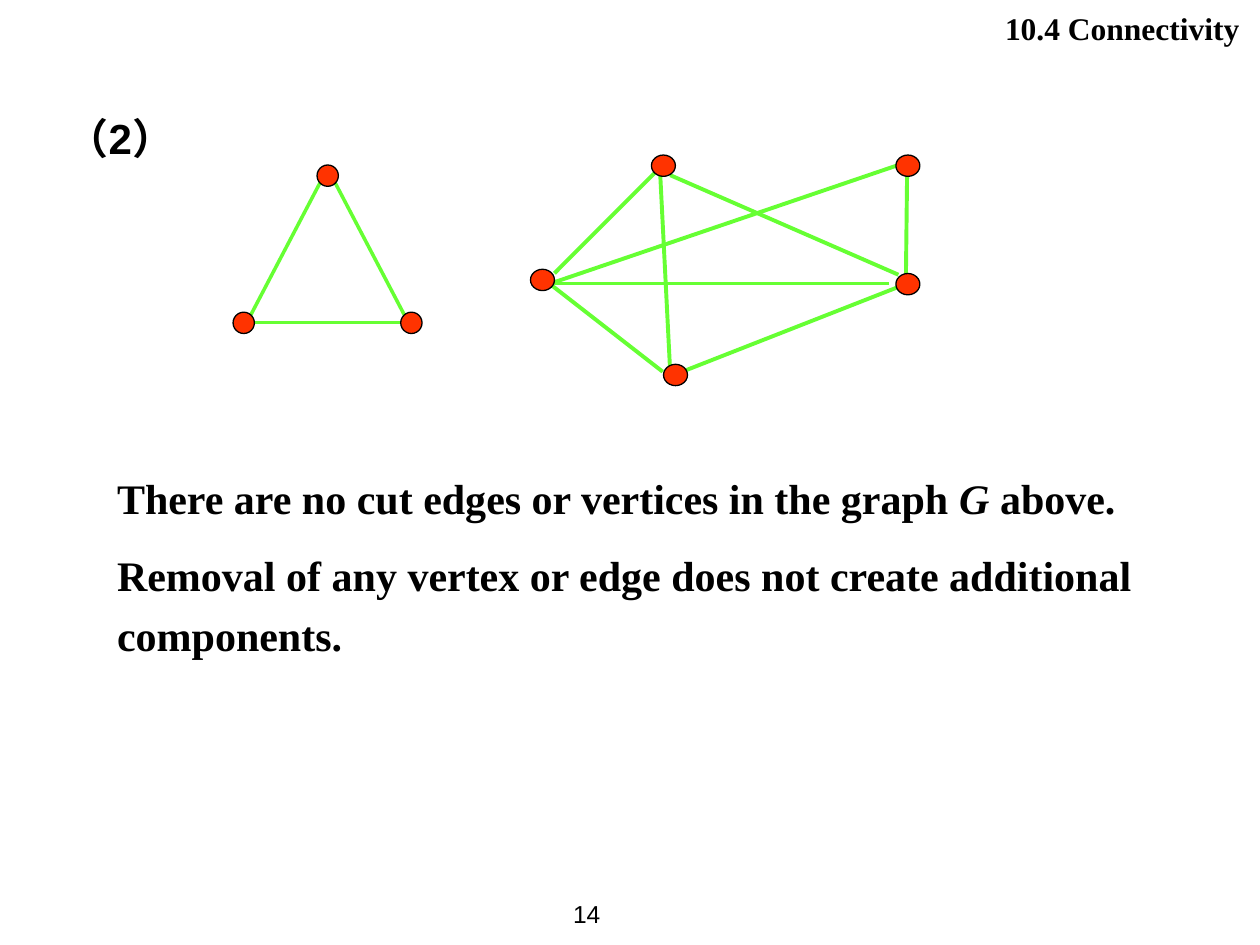
from dataclasses import dataclass

from lxml import etree
from pptx import Presentation
from pptx import util as u
from pptx.dml.color import RGBColor
from pptx.enum import shapes, text
from pptx.oxml.ns import qn


@dataclass(frozen=True)
class Theme:
    """Colours, fonts and type sizes of the slide."""
    ink: RGBColor = RGBColor(0, 0, 0)
    node: RGBColor = RGBColor(0xFF, 0x33, 0x00)
    edge: RGBColor = RGBColor(0x66, 0xFF, 0x33)
    sans: str = "Arial"
    serif: str = "Times New Roman"
    header: int = 18
    body: int = 24
    number: int = 14


class Deck:
    """Hold the theme and current slide, and draw elements in points."""

    def __init__(self, prs, theme):
        """Add a title-only slide to the presentation."""
        self.theme = theme
        self.slide = prs.slides.add_slide(prs.slide_layouts[5])

    def style(self, p, font, size, bold=True):
        """Set the font of a whole paragraph."""
        p.font.name, p.font.size, p.font.bold = font, u.Pt(size), bold
        p.font.color.rgb = self.theme.ink

    def title(self, words, x, y, w, h):
        """Place the right-aligned running title."""
        sp = self.slide.shapes.title
        sp.left, sp.top, sp.width, sp.height = map(u.Pt, (x, y, w, h))
        tf = sp.text_frame
        tf.text = words
        tf.auto_size = text.MSO_AUTO_SIZE.NONE
        tf.vertical_anchor = text.MSO_ANCHOR.TOP
        tf.margin_right = u.Pt(11.7)
        p = tf.paragraphs[0]
        p.alignment = text.PP_ALIGN.RIGHT
        self.style(p, self.theme.serif, self.theme.header)

    def textbox(self, x, y, w, h, wrap=True, anchor=text.MSO_ANCHOR.TOP):
        """Add an empty text box and return its text frame."""
        sp = self.slide.shapes.add_textbox(*map(u.Pt, (x, y, w, h)))
        tf = sp.text_frame
        tf.word_wrap, tf.vertical_anchor = wrap, anchor
        return tf

    def label(self, words, box, size, bold=True, **layout):
        """Add a one-line sans-serif label."""
        p = self.textbox(*box, **layout).paragraphs[0]
        p.add_run().text = words
        self.style(p, self.theme.sans, size, bold)

    def body(self, paragraphs, box):
        """Add paragraphs given as line spacing, space before and runs."""
        tf = self.textbox(*box)
        for i, (spacing, before, runs) in enumerate(paragraphs):
            p = tf.add_paragraph() if i else tf.paragraphs[0]
            p.line_spacing, p.space_before = spacing, u.Pt(before)
            for words, italic in runs:
                r = p.add_run()
                r.text = words
                if italic:
                    r.font.italic = True
            self.style(p, self.theme.serif, self.theme.body)

    def edge(self, start, end, width):
        """Draw one graph edge."""
        sp = self.slide.shapes.add_connector(
            shapes.MSO_CONNECTOR.STRAIGHT, *map(u.Pt, start + end))
        sp.line.color.rgb, sp.line.width = self.theme.edge, u.Pt(width)
        etree.SubElement(sp._element.spPr, qn("a:effectLst"))

    def node(self, centre, size, kind):
        """Draw one graph vertex around its centre."""
        (cx, cy), (w, h) = centre, size
        sp = self.slide.shapes.add_shape(
            kind, *map(u.Pt, (cx - w / 2, cy - h / 2, w, h)))
        sp.shadow.inherit = False
        sp.fill.solid()
        sp.fill.fore_color.rgb = self.theme.node
        sp.line.color.rgb, sp.line.width = self.theme.ink, u.Pt(0.75)

    def graph(self, nodes, edges, size, kind, width):
        """Draw edges with their vertices on top."""
        for start, end in edges:
            self.edge(start, end, width)
        for centre in nodes:
            self.node(centre, size, kind)


TRIANGLE_NODES = [(139.3, 184.5), (235.1, 184.5), (187.3, 100.4)]
TRIANGLE_EDGES = [
    ((143.3, 180), (182.9, 104.4)),
    ((145.4, 184.3), (229, 184.3)),
    ((231.1, 180), (191.5, 104.4)),
]
FIVE_NODES = [(310, 160), (518.8, 162.4), (518.8, 94.7), (379.1, 94.7), (386, 214.3)]
FIVE_EDGES = [
    ((314.6, 162), (513.4, 94.3)),
    ((378.7, 94.3), (316.8, 156.2)),
    ((313.9, 162), (508.3, 162)),
    ((518.4, 94.3), (517.7, 156.2)),
    ((313.9, 162), (378.7, 212.4)),
    ((518.4, 162), (388.1, 213.1)),
    ((377.3, 100.1), (383, 213.1)),
    ((383, 100.1), (513.4, 157)),
]
BODY = [
    (0.9, 0, [("There are no cut edges or vertices in the graph ", False),
              ("G", True), (" above.", False)]),
    (1.2, 8.6, [("Removal of any vertex or edge does not create "
                 "additional components.", False)]),
]


def main():
    """Build and save the slide."""
    prs = Presentation()
    prs.slide_width, prs.slide_height = u.Pt(720), u.Pt(540)
    theme = Theme()
    deck = Deck(prs, theme)
    deck.title("10.4 Connectivity", 486, 1.4, 234, 29)
    deck.label("14", (320.4, 504, 48, 36), theme.number, bold=False,
               wrap=False, anchor=text.MSO_ANCHOR.MIDDLE)
    deck.label("（2）", (31, 60.5, 584, 45), theme.body)
    deck.body(BODY, (59.8, 270, 629, 108))
    kind = shapes.MSO_SHAPE
    deck.graph(TRIANGLE_NODES, TRIANGLE_EDGES, (12.2, 12.2),
               kind.FLOWCHART_CONNECTOR, 2)
    deck.graph(FIVE_NODES, FIVE_EDGES, (13.7, 12.2), kind.OVAL, 2.25)
    prs.save("out.pptx")


if __name__ == "__main__":
    main()
